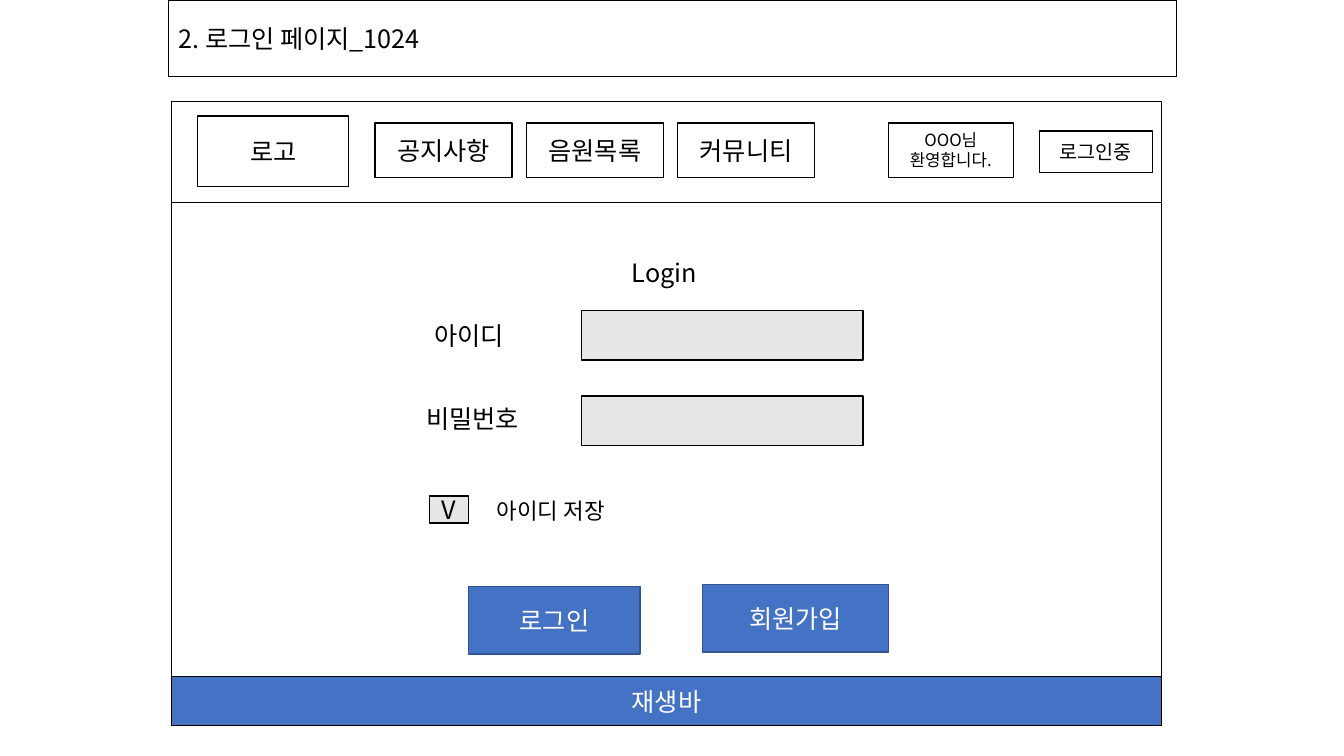
import pptx
import pptx.dml.color
import pptx.enum.shapes
import pptx.enum.text
import pptx.oxml.ns
import pptx.util
from lxml import etree

Inches = pptx.util.Inches
ALIGN = pptx.enum.text.PP_ALIGN
ANCHOR = pptx.enum.text.MSO_ANCHOR
AUTO_SIZE = pptx.enum.text.MSO_AUTO_SIZE
COLORS = {"ink": "000000", "paper": "FFFFFF", "field": "E7E6E6",
          "accent": "4472C4", "accent_edge": "325491"}


class Wireframe:
    """Draws wireframe elements in one style on the current slide."""

    font = "Noto Sans CJK KR"

    def __init__(self, prs):
        self.slide = prs.slides.add_slide(prs.slide_layouts[5])
        self.shapes = self.slide.shapes

    def color(self, name):
        return pptx.dml.color.RGBColor.from_string(COLORS[name])

    def place(self, s, box):
        for name, value in zip(("left", "top", "width", "height"), box):
            setattr(s, name, Inches(value))

    def outline(self, s, color):
        s.line.color.rgb = self.color(color)
        s.line.width = pptx.util.Pt(1)

    def set_text(self, s, text, size, color, align, **frame):
        tf = s.text_frame
        for name, value in {"word_wrap": True, **frame}.items():
            setattr(tf, name, value)
        p = tf.paragraphs[0]
        for name, value in {"alignment": align, "line_spacing": 1.0}.items():
            setattr(p, name, value)
        r = p.add_run()
        r.text = text
        for name, value in {"name": self.font, "size": pptx.util.Pt(size)}.items():
            setattr(r.font, name, value)
        r.font.color.rgb = self.color(color)
        ea = etree.SubElement(r.font._element, pptx.oxml.ns.qn("a:ea"))
        ea.set("typeface", self.font)

    def title(self, box, text):
        s = self.slide.shapes.title
        self.place(s, box)
        self.outline(s, "ink")
        self.set_text(s, text, 18, "ink", ALIGN.LEFT,
                      vertical_anchor=ANCHOR.MIDDLE, auto_size=AUTO_SIZE.NONE)

    def group(self):
        self.shapes = self.slide.shapes.add_group_shape().shapes

    def ungroup(self):
        self.shapes = self.slide.shapes

    def box(self, box, text="", size=18, fill="paper", line="ink", color="ink"):
        s = self.shapes.add_shape(pptx.enum.shapes.MSO_SHAPE.RECTANGLE,
                                  *map(Inches, box))
        s.shadow.inherit = False
        s.fill.solid()
        s.fill.fore_color.rgb = self.color(fill)
        self.outline(s, line)
        if text:
            self.set_text(s, text, size, color, ALIGN.CENTER,
                          vertical_anchor=ANCHOR.MIDDLE)

    def label(self, box, text, size=18):
        s = self.shapes.add_textbox(*map(Inches, box))
        self.set_text(s, text, size, "ink", ALIGN.LEFT,
                      auto_size=AUTO_SIZE.SHAPE_TO_FIT_TEXT)


def main():
    prs = pptx.Presentation()
    prs.slide_width, prs.slide_height = Inches(13.33), Inches(7.5)
    page = Wireframe(prs)
    page.title((1.67, 0, 10, 0.76), "2. 로그인 페이지_1024")

    page.group()
    page.box((1.7, 1.02, 9.82, 6.18))
    page.box((1.7, 1.01, 9.82, 1))
    page.box((1.96, 1.15, 1.5, 0.7), "로고")
    for i, menu in enumerate(("공지사항", "음원목록", "커뮤니티")):
        page.box((3.72 + 1.5 * i, 1.22, 1.36, 0.54), menu)
    page.box((10.31, 1.3, 1.12, 0.41), "로그인중", 14)
    page.box((1.7, 6.71, 9.82, 0.49), "재생바", fill="accent", color="paper")
    page.box((8.81, 1.22, 1.24, 0.54), "OOO님 환영합니다.", 12)
    page.ungroup()

    page.label((6.17, 2.5, 1.23, 0.4), "Login")
    page.label((4.13, 3.95, 1.23, 0.4), "비밀번호")
    page.label((4.21, 3.13, 1.23, 0.4), "아이디")
    page.label((4.83, 4.88, 1.5, 0.37), "아이디 저장", 16)

    for box, text in (((4.65, 5.82, 1.7, 0.67), "로그인"),
                      ((6.97, 5.8, 1.84, 0.67), "회원가입")):
        page.box(box, text, fill="accent", line="accent_edge", color="paper")
    page.box((4.26, 4.92, 0.39, 0.27), "V", fill="field")
    for top in (3.08, 3.93):
        page.box((5.77, top, 2.79, 0.49), fill="field")

    prs.save("out.pptx")


if __name__ == "__main__":
    main()
